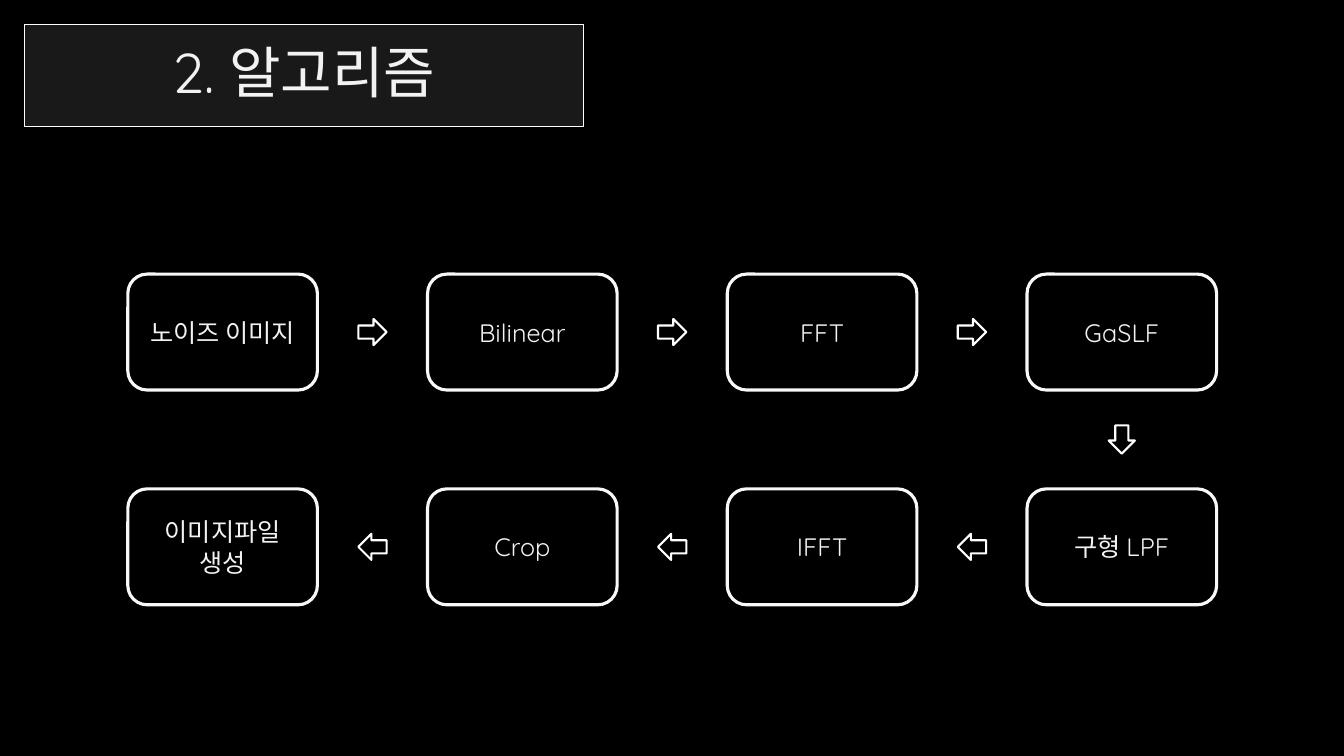
from lxml import etree
from pptx import Presentation
from pptx.dml.color import RGBColor
from pptx.enum.shapes import MSO_SHAPE
from pptx.enum.text import MSO_ANCHOR, MSO_AUTO_SIZE, PP_ALIGN
from pptx.oxml.ns import qn
from pptx.util import Pt

ROUNDED = MSO_SHAPE.ROUNDED_RECTANGLE
ARROW = MSO_SHAPE.RIGHT_ARROW
CENTER = PP_ALIGN.CENTER
MIDDLE = MSO_ANCHOR.MIDDLE
NO_AUTOFIT = MSO_AUTO_SIZE.NONE

COLORS = {"black": "000000", "white": "FFFFFF", "pale": "F8F8F8", "text": "F2F2F2"}
FONT = "Quicksand"

STEP_ROWS = [
    ["노이즈 이미지", "Bilinear", "FFT", "GaSLF"],
    ["이미지파일 생성", "Crop", "IFFT", "구형 LPF"],
]
ROW_ROTATIONS = [0, 180]
LEFT, PITCH_X, BOX_W = 91.3, 214.1, 135.4
TOP, PITCH_Y, BOX_H = 195.8, 153.4, 82.8
ARROW_W, ARROW_H = 20.2, 18.7


def rgb(name):
    return RGBColor.from_string(COLORS[name])


def set_line(sp, color, width):
    sp.line.color.rgb = rgb(color)
    sp.line.width = Pt(width)


def set_text(sp, text, size):
    tf = sp.text_frame
    frame_format = {
        "word_wrap": True, "auto_size": NO_AUTOFIT, "vertical_anchor": MIDDLE,
        "margin_left": Pt(7.2), "margin_right": Pt(7.2),
        "margin_top": Pt(3.6), "margin_bottom": Pt(3.6),
    }
    for name, value in frame_format.items():
        setattr(tf, name, value)
    p = tf.paragraphs[0]
    p.alignment = CENTER
    r = p.add_run()
    r.text = text
    for name, value in {"name": FONT, "size": Pt(size)}.items():
        setattr(r.font, name, value)
    r.font.color.rgb = rgb("text")
    return p, r


def add_title(slide, text):
    sp = slide.shapes.title
    box = {"left": 17.3, "top": 17.3, "width": 399.6, "height": 73.4}
    for name, value in box.items():
        setattr(sp, name, Pt(value))
    sp.fill.solid()
    sp.fill.fore_color.rgb = rgb("pale")
    fill_color = next(sp.fill._xPr.iter(qn("a:srgbClr")))
    etree.SubElement(fill_color, qn("a:alpha"), val="10000")
    set_line(sp, "white", 0.75)
    p, r = set_text(sp, text, 40)
    p.line_spacing = 0.9
    outline = etree.Element(qn("a:ln"), w=str(Pt(0.75)))
    solid = etree.SubElement(outline, qn("a:solidFill"))
    etree.SubElement(solid, qn("a:srgbClr"), val=COLORS["black"])
    r._r.get_or_add_rPr().insert(0, outline)


def add_outlined(slide, kind, center, size, color, line_width):
    """Add an unfilled shape around its center point."""
    (x, y), (w, h) = center, size
    sp = slide.shapes.add_shape(kind, Pt(x - w / 2), Pt(y - h / 2), Pt(w), Pt(h))
    sp.shadow.inherit = False
    sp.fill.background()
    set_line(sp, color, line_width)
    return sp


def add_step(slide, text, center):
    sp = add_outlined(slide, ROUNDED, center, (BOX_W, BOX_H), "pale", 2.25)
    set_text(sp, text, 18)


def add_arrow(slide, center, rotation):
    sp = add_outlined(slide, ARROW, center, (ARROW_W, ARROW_H), "white", 1.5)
    sp.rotation = rotation


def main():
    prs = Presentation()
    prs.slide_width, prs.slide_height = Pt(960), Pt(540)
    slide = prs.slides.add_slide(prs.slide_layouts[5])
    slide.background.fill.solid()
    slide.background.fill.fore_color.rgb = rgb("black")
    add_title(slide, "2. 알고리즘")

    for row, steps in enumerate(STEP_ROWS):
        y = TOP + BOX_H / 2 + row * PITCH_Y
        for col, text in enumerate(steps):
            x = LEFT + BOX_W / 2 + col * PITCH_X
            add_step(slide, text, (x, y))
            if col:
                add_arrow(slide, (x - PITCH_X / 2, y), ROW_ROTATIONS[row])
    add_arrow(slide, (x, y - PITCH_Y / 2), 90)

    prs.save("out.pptx")


if __name__ == "__main__":
    main()
